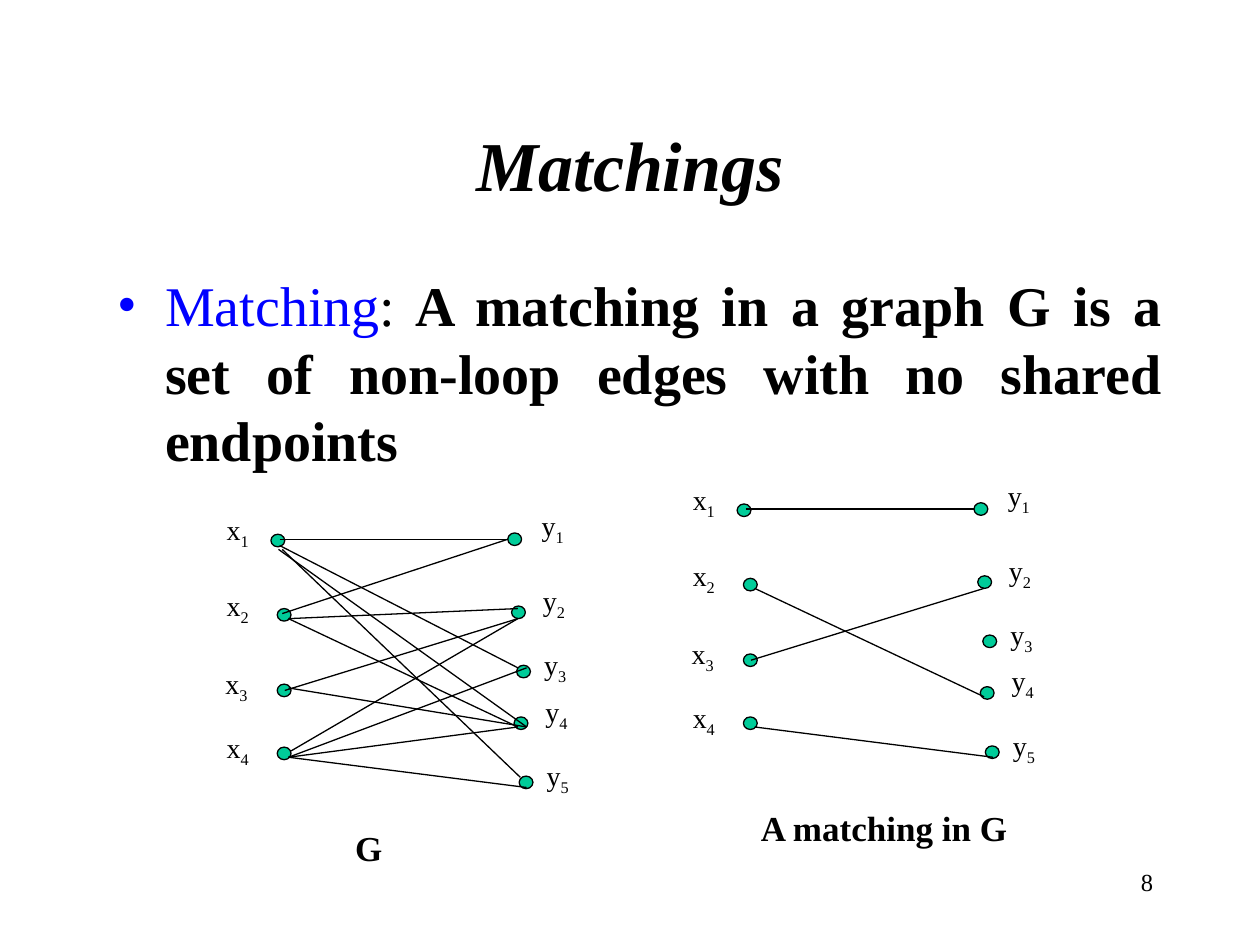
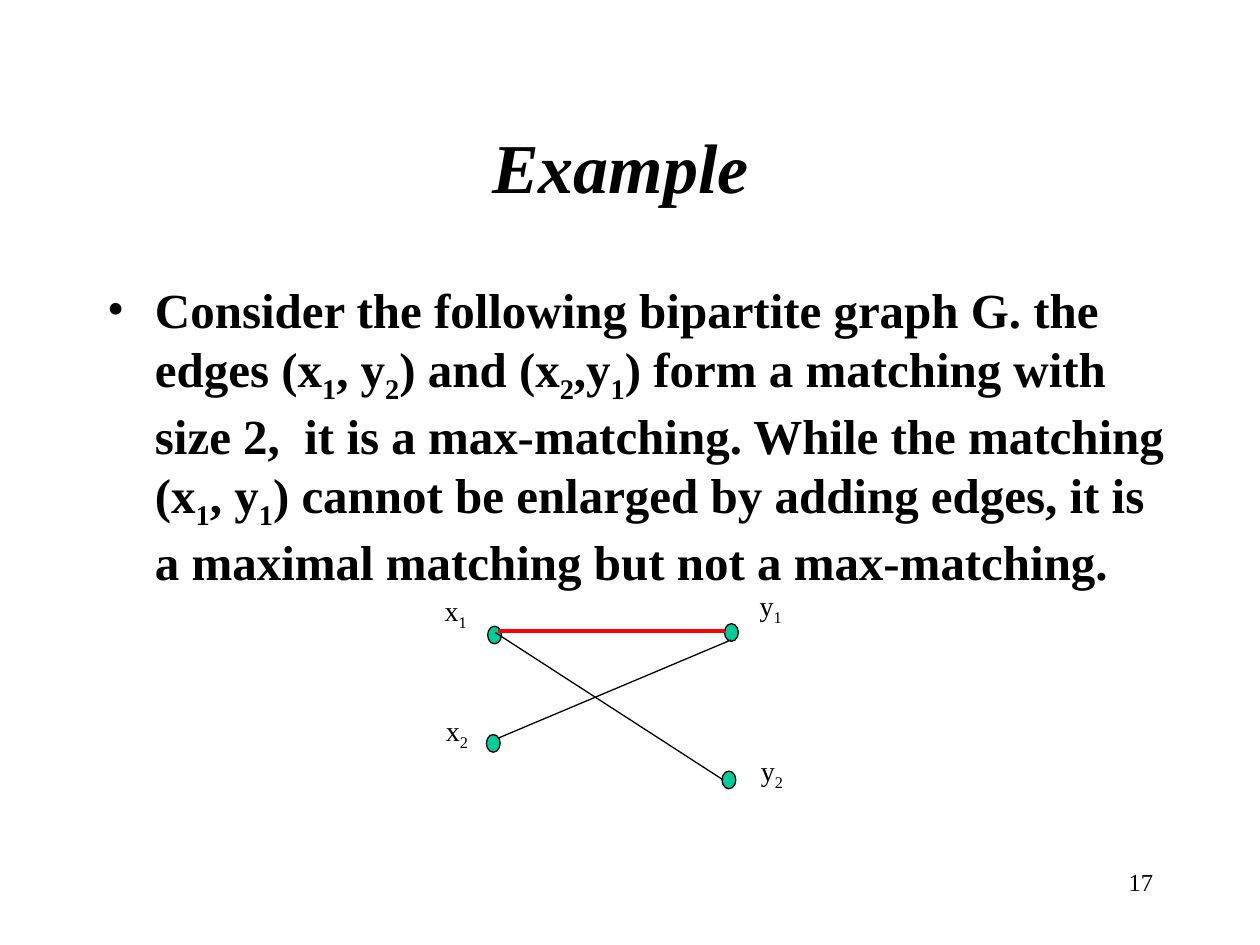
"""Build two slides on matchings in bipartite graphs."""
from dataclasses import dataclass

from lxml.etree import SubElement
from pptx import Presentation
from pptx.dml.color import RGBColor
from pptx.enum.shapes import MSO_CONNECTOR, MSO_SHAPE
from pptx.enum.text import MSO_ANCHOR, MSO_AUTO_SIZE, PP_ALIGN
from pptx.oxml.ns import qn
from pptx.shapes.base import BaseShape
from pptx.shapes.shapetree import GroupShapes
from pptx.slide import Slide
from pptx.text.text import _Paragraph as Paragraph
from pptx.util import Emu, Pt

EMU_PER_PX = 9144
FONT = "Times New Roman"
COLORS = {"text": "000000", "term": "0000FF", "vertex": "00CC99", "chosen": "FF0000"}
DOT_WIDTH = 11
LABEL_SIZE = (53, 41)
TITLE_BOX = (75, 67, 850, 125)
NUMBER_BOX = (717, 683, 208, 50)
BODY_INDENT = 38
MATCHING_SHIFT = (370, -24)


@dataclass(frozen=True)
class TextStyle:
    size: int
    bold: bool = False
    italic: bool = False
    color: str = "text"


@dataclass(frozen=True)
class Vertex:
    name: str
    dot: tuple[int, int]
    label: tuple[int, int]


@dataclass(frozen=True)
class Edge:
    name: str
    start: tuple[int, int]
    end: tuple[int, int]
    color: str = "text"
    width: float = 0.75


@dataclass(frozen=True)
class Caption:
    text: str
    box: tuple[int, int, int, int]


@dataclass(frozen=True)
class Graph:
    vertices: list[Vertex]
    edges: list[Edge]
    dot_height: int
    caption: Caption | None = None
    shift: tuple[int, int] = (0, 0)


@dataclass(frozen=True)
class Body:
    box: tuple[int, int, int, int]
    pieces: list[tuple[str, TextStyle]]
    align: PP_ALIGN
    space_before: int
    bullet_color: str


TITLE = TextStyle(40, bold=True, italic=True)
NUMBER = TextStyle(14)
LABEL = TextStyle(16)
CAPTION = TextStyle(20, bold=True)
EXAMPLE = TextStyle(28, bold=True)

VERTICES = [
    Vertex("x_1", (215, 424), (170, 402)),
    Vertex("x_2", (220, 483), (170, 462)),
    Vertex("x_3", (220, 543), (169, 524)),
    Vertex("x_4", (220, 593), (170, 575)),
    Vertex("y_1", (403, 423), (420, 399)),
    Vertex("y_2", (406, 481), (421, 458)),
    Vertex("y_3", (410, 528), (422, 509)),
    Vertex("y_4", (408, 569), (423, 546)),
    Vertex("y_5", (412, 616), (424, 597)),
]
EDGES = [
    Edge("x1y1", (222, 428), (403, 428)),
    Edge("x1y3", (222, 433), (411, 530)),
    Edge("x1y4", (221, 436), (418, 577)),
    Edge("x1y5", (224, 436), (413, 617)),
    Edge("x2y1", (224, 487), (403, 428)),
    Edge("x2y2", (229, 491), (411, 483)),
    Edge("x2y4", (229, 491), (411, 577)),
    Edge("x3y2", (226, 548), (411, 491)),
    Edge("x3y4", (229, 546), (418, 577)),
    Edge("x4y2", (231, 596), (411, 491)),
    Edge("x4y3", (229, 601), (418, 530)),
    Edge("x4y4", (229, 601), (411, 577)),
    Edge("x4y5", (229, 601), (418, 625)),
]
MATCHING = {"x1y1", "x2y4", "x3y2", "x4y5"}

FULL_GRAPH = Graph(VERTICES, EDGES, 10, Caption("G", (272, 651, 79, 44)))
MATCHING_GRAPH = Graph(
    VERTICES,
    [edge for edge in EDGES if edge.name in MATCHING],
    10,
    Caption("A matching in G", (594, 635, 260, 44)),
    MATCHING_SHIFT,
)
EXAMPLE_GRAPH = Graph(
    [
        Vertex("x_1", (387, 497), (343, 466)),
        Vertex("x_2", (386, 583), (344, 561)),
        Vertex("y_1", (575, 495), (593, 462)),
        Vertex("y_2", (573, 612), (594, 593)),
    ],
    [
        Edge("x1y1", (395, 501), (575, 501), "chosen", 2.25),
        Edge("x2y1", (395, 586), (580, 508)),
        Edge("x1y2", (393, 502), (574, 619)),
    ],
    14,
)

DEFINITION_BODY = Body(
    (83, 210, 850, 450),
    [
        ("Matching", TextStyle(32, color="term")),
        (":", TextStyle(32)),
        (" A matching in a graph G is a set of non-loop edges with no shared endpoints",
         TextStyle(32, bold=True)),
    ],
    PP_ALIGN.JUSTIFY, 8, "term",
)
EXAMPLE_BODY = Body(
    (75, 217, 866, 450),
    [(
        "Consider the following bipartite graph G. the edges (x_1, y_2) and (x_2,y_1) "
        "form a matching with size 2,  it is a max-matching. While the matching "
        "(x_1, y_1) cannot be enlarged by adding edges, it is a maximal matching "
        "but not a max-matching.",
        EXAMPLE,
    )],
    PP_ALIGN.LEFT, 7, "text",
)


def px(length: int) -> Emu:
    """Turn px into EMU."""
    return Emu(length * EMU_PER_PX)


def rgb(name: str) -> RGBColor:
    """Look up a named colour."""
    return RGBColor.from_string(COLORS[name])


def place(shape: BaseShape, box: tuple[int, int, int, int]) -> None:
    """Move and size a shape."""
    shape.left, shape.top, shape.width, shape.height = map(px, box)


def add_run(paragraph: Paragraph, text: str, style: TextStyle, subscript: bool = False) -> None:
    """Append one formatted run."""
    run = paragraph.add_run()
    run.text = text
    run.font.name = FONT
    run.font.size = Pt(style.size)
    run.font.bold = style.bold
    run.font.italic = style.italic
    run.font.color.rgb = rgb(style.color)
    if subscript:
        run._r.get_or_add_rPr().set("baseline", "-25000")


def add_text(paragraph: Paragraph, text: str, style: TextStyle) -> None:
    """Append text in which an underscore lowers the next character."""
    first, *rest = text.split("_")
    add_run(paragraph, first, style)
    for piece in rest:
        add_run(paragraph, piece[0], style, subscript=True)
        if piece[1:]:
            add_run(paragraph, piece[1:], style)


def add_text_box(shapes: GroupShapes, box: tuple[int, int, int, int], text: str,
                 style: TextStyle, align: PP_ALIGN = PP_ALIGN.LEFT) -> None:
    """Add a wrapped one-paragraph text box."""
    text_frame = shapes.add_textbox(*map(px, box)).text_frame
    text_frame.word_wrap = True
    paragraph = text_frame.paragraphs[0]
    paragraph.alignment = align
    add_text(paragraph, text, style)


def set_bullet(paragraph: Paragraph, color: str) -> None:
    """Give a paragraph a hanging coloured bullet."""
    properties = paragraph._p.get_or_add_pPr()
    properties.set("marL", str(px(BODY_INDENT)))
    properties.set("indent", str(px(-BODY_INDENT)))
    bullet_color = SubElement(properties, qn("a:buClr"))
    SubElement(bullet_color, qn("a:srgbClr"), val=COLORS[color])
    SubElement(properties, qn("a:buFont"), typeface=FONT)
    SubElement(properties, qn("a:buChar"), char="•")


def fill_body(shape: BaseShape, body: Body) -> None:
    """Write the bulleted statement into the body placeholder."""
    place(shape, body.box)
    shape.text_frame.auto_size = MSO_AUTO_SIZE.NONE
    paragraph = shape.text_frame.paragraphs[0]
    paragraph.alignment = body.align
    paragraph.space_before = Pt(body.space_before)
    set_bullet(paragraph, body.bullet_color)
    for text, style in body.pieces:
        add_text(paragraph, text, style)


def draw_vertex(shapes: GroupShapes, vertex: Vertex, graph: Graph) -> None:
    """Draw a vertex dot with its label."""
    dot, label = shifted(vertex.dot, graph), shifted(vertex.label, graph)
    shape = shapes.add_shape(MSO_SHAPE.OVAL, *map(px, (*dot, DOT_WIDTH, graph.dot_height)))
    shape.shadow.inherit = False
    shape.fill.solid()
    shape.fill.fore_color.rgb = rgb("vertex")
    shape.line.color.rgb = rgb("text")
    shape.line.width = Pt(0.75)
    add_text_box(shapes, (*label, *LABEL_SIZE), vertex.name, LABEL)


def draw_edge(shapes: GroupShapes, edge: Edge, graph: Graph) -> None:
    """Draw an edge as a straight connector."""
    ends = (*shifted(edge.start, graph), *shifted(edge.end, graph))
    connector = shapes.add_connector(MSO_CONNECTOR.STRAIGHT, *map(px, ends))
    connector.line.color.rgb = rgb(edge.color)
    connector.line.width = Pt(edge.width)
    SubElement(connector._element.spPr, qn("a:effectLst"))


def shifted(point: tuple[int, int], graph: Graph) -> tuple[int, int]:
    """Move a point by the offset of its graph."""
    return point[0] + graph.shift[0], point[1] + graph.shift[1]


def draw_graph(slide: Slide, graph: Graph) -> None:
    """Draw a graph as one group."""
    shapes = slide.shapes.add_group_shape().shapes
    for vertex in graph.vertices:
        draw_vertex(shapes, vertex, graph)
    for edge in graph.edges:
        draw_edge(shapes, edge, graph)
    if graph.caption:
        add_text_box(shapes, graph.caption.box, graph.caption.text, CAPTION)


def add_slide(presentation: Presentation, title: str, number: str, body: Body,
              graphs: list[Graph]) -> Slide:
    """Add a slide with title, statement, graphs and number."""
    slide = presentation.slides.add_slide(presentation.slide_layouts[1])
    heading = slide.shapes.title
    place(heading, TITLE_BOX)
    heading.text_frame.vertical_anchor = MSO_ANCHOR.MIDDLE
    heading.text_frame.auto_size = MSO_AUTO_SIZE.NONE
    heading.text_frame.paragraphs[0].alignment = PP_ALIGN.CENTER
    add_text(heading.text_frame.paragraphs[0], title, TITLE)
    fill_body(slide.placeholders[1], body)
    add_text_box(slide.shapes, NUMBER_BOX, number, NUMBER, PP_ALIGN.RIGHT)
    for graph in graphs:
        draw_graph(slide, graph)
    return slide


def main() -> None:
    """Build and save the presentation."""
    presentation = Presentation()
    presentation.slide_width, presentation.slide_height = px(1000), px(750)
    add_slide(presentation, "Matchings", "8", DEFINITION_BODY, [FULL_GRAPH, MATCHING_GRAPH])
    example = add_slide(presentation, "Example", "17", EXAMPLE_BODY, [EXAMPLE_GRAPH])
    add_run(example.shapes.title.text_frame.paragraphs[0], " ", TextStyle(44, italic=True))
    presentation.save("out.pptx")


if __name__ == "__main__":
    main()
